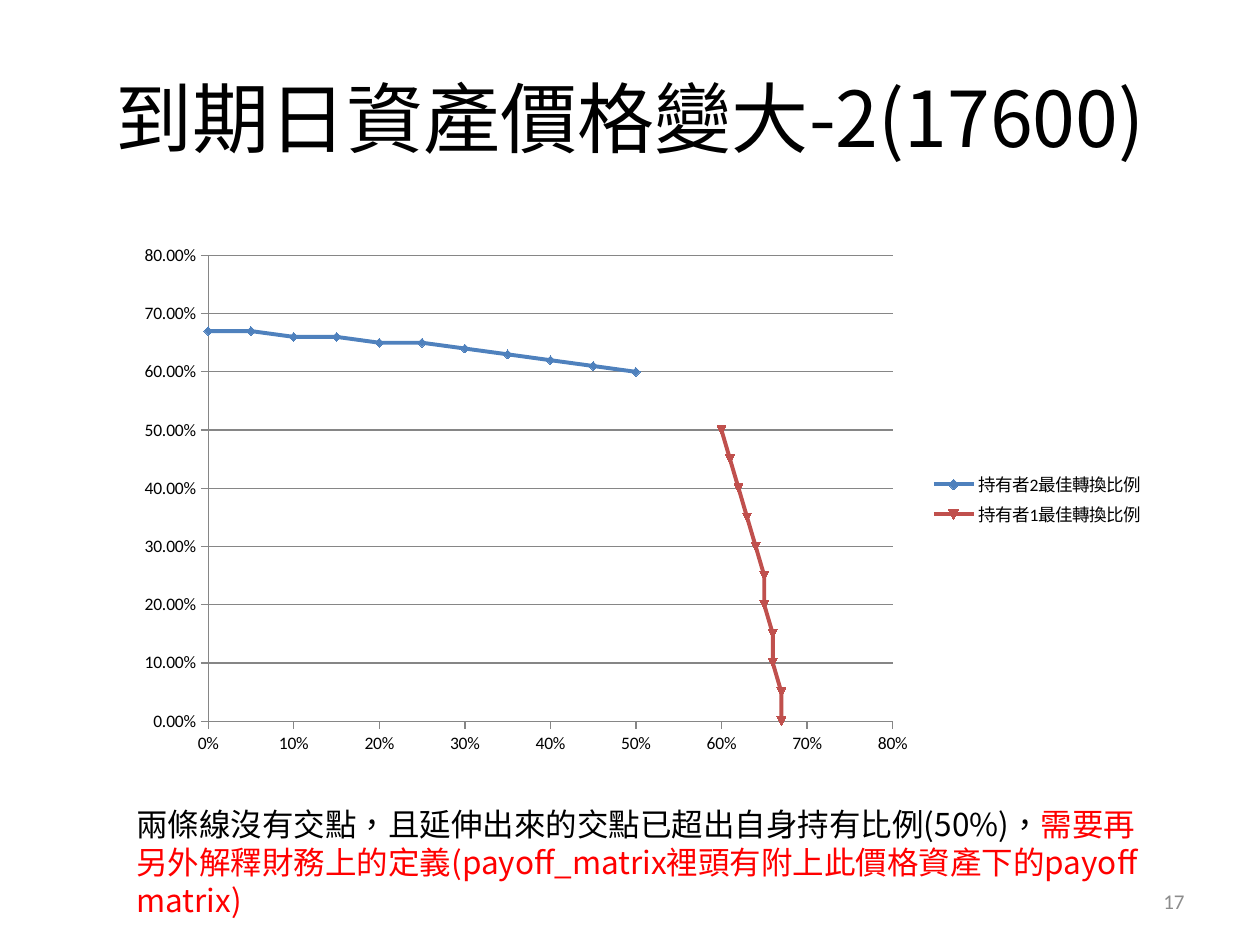
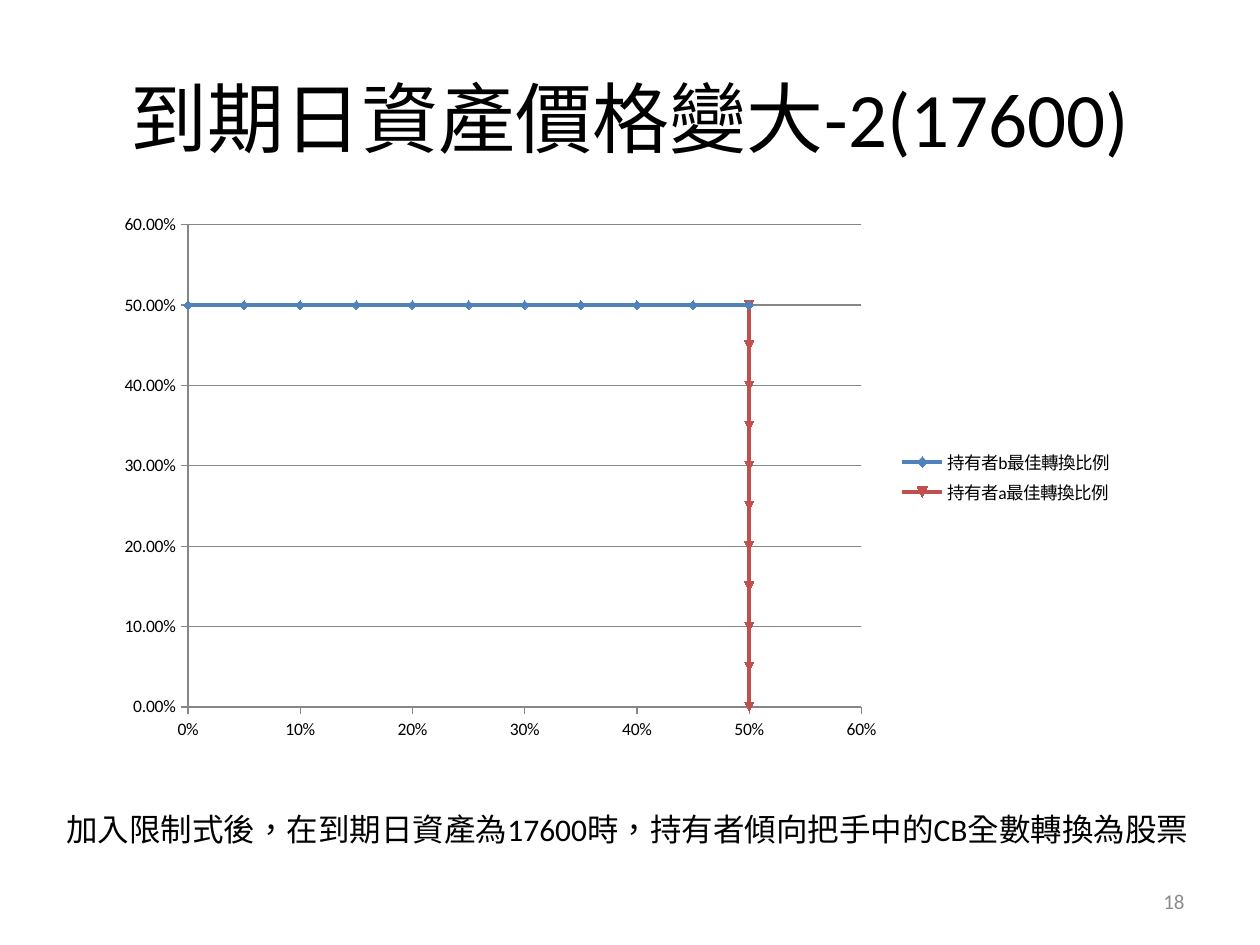
import pptx
import pptx.chart.data
import pptx.dml.color
import pptx.enum.chart
import pptx.enum.text
import pptx.util

PX = 914400 / 126
BLACK, RED, GREY, AXIS = "000000", "FF0000", "8C8C8C", "868686"
SERIES_COLORS = ["4F81BD", "C0504D"]
LATIN, CJK = "Calibri", "Noto Sans CJK SC"
TITLE = "到期日資產價格變大-2(17600)"
TITLE_BOX = (63, 38, 1134, 157)
NUMBER_BOX = (903, 876, 294, 50)

holdings = [step / 20 for step in range(11)]
best_ratios = [0.67, 0.67, 0.66, 0.66, 0.65, 0.65, 0.64, 0.63, 0.62, 0.61, 0.6]

slides = [
    {
        "number": 17,
        "font": CJK,
        "chart_box": (124, 235, 1033, 529),
        "holders": ("2", "1"),
        "ratios": best_ratios,
        "note_box": (124, 799, 1052, 127),
        "note": [
            ("兩條線沒有交點，且延伸出來的交點已超出自身持有比例(50%)，", BLACK),
            ("需要再另外解釋財務上的定義(payoff_matrix裡頭有附上此價格資產下的payoff matrix)", RED),
        ],
    },
    {
        "number": 18,
        "font": LATIN,
        "chart_box": (104, 204, 1022, 546),
        "holders": ("b", "a"),
        "ratios": [0.5] * 11,
        "note_box": (54, 804, 1158, 90),
        "note": [("加入限制式後，在到期日資產為17600時，持有者傾向把手中的CB全數轉換為股票", BLACK)],
    },
]


def rgb(color):
    return pptx.dml.color.RGBColor.from_string(color)


def add_run(paragraph, text, size, font, color):
    """Add a run marked as Traditional Chinese, so that its punctuation is centred."""
    run = paragraph.add_run()
    run.text = text
    run.font.size = pptx.util.Pt(size)
    run.font.name = font
    run.font.color.rgb = rgb(color)
    run._r.get_or_add_rPr().set("lang", "zh-TW")


presentation = pptx.Presentation()
presentation.slide_width = pptx.util.Inches(10)
presentation.slide_height = pptx.util.Inches(7.5)

for content in slides:
    slide = presentation.slides.add_slide(presentation.slide_layouts[5])

    title = slide.shapes.title
    title.left, title.top, title.width, title.height = [round(side * PX) for side in TITLE_BOX]
    title.text_frame.vertical_anchor = pptx.enum.text.MSO_ANCHOR.MIDDLE
    paragraph = title.text_frame.paragraphs[0]
    paragraph.alignment = pptx.enum.text.PP_ALIGN.CENTER
    add_run(paragraph, TITLE, 44, content["font"], BLACK)

    # Each holder's best ratio is plotted against the other holder's ratio.
    chart_data = pptx.chart.data.XyChartData()
    axes_pairs = [(holdings, content["ratios"]), (content["ratios"], holdings)]
    for holder, (x_values, y_values) in zip(content["holders"], axes_pairs):
        series = chart_data.add_series(f"持有者{holder}最佳轉換比例")
        for x, y in zip(x_values, y_values):
            series.add_data_point(x, y)
    chart = slide.shapes.add_chart(
        pptx.enum.chart.XL_CHART_TYPE.XY_SCATTER_SMOOTH,
        *[round(side * PX) for side in content["chart_box"]], chart_data).chart
    chart.has_title = False
    chart.font.size = pptx.util.Pt(10)
    chart.font.name = LATIN
    chart.font.color.rgb = rgb(BLACK)
    chart.has_legend = True
    chart.legend.position = pptx.enum.chart.XL_LEGEND_POSITION.RIGHT
    chart.legend.include_in_layout = False
    plot = chart.plots[0]
    plot.vary_by_categories = False
    for series, color in zip(plot.series, SERIES_COLORS):
        series.smooth = True
        series.format.line.width = pptx.util.Pt(2.25)
        series.format.line.color.rgb = rgb(color)
        series.marker.format.fill.solid()
        series.marker.format.fill.fore_color.rgb = rgb(color)
        series.marker.format.line.color.rgb = rgb(color)

    for axis, number_format in ((chart.category_axis, "0%"), (chart.value_axis, "0.00%")):
        axis.major_tick_mark = pptx.enum.chart.XL_TICK_MARK.OUTSIDE
        axis.minor_tick_mark = pptx.enum.chart.XL_TICK_MARK.NONE
        axis.tick_labels.number_format = number_format
        axis.tick_labels.number_format_is_linked = False
        axis.format.line.color.rgb = rgb(AXIS)
    chart.category_axis.has_major_gridlines = False
    chart.value_axis.has_major_gridlines = True
    chart.value_axis.major_gridlines.format.line.color.rgb = rgb(AXIS)

    note = slide.shapes.add_textbox(*[round(side * PX) for side in content["note_box"]])
    note.text_frame.word_wrap = True
    for text, color in content["note"]:
        add_run(note.text_frame.paragraphs[0], text, 18, content["font"], color)

    number = slide.shapes.add_textbox(*[round(side * PX) for side in NUMBER_BOX])
    number.text_frame.word_wrap = True
    number.text_frame.vertical_anchor = pptx.enum.text.MSO_ANCHOR.MIDDLE
    paragraph = number.text_frame.paragraphs[0]
    paragraph.alignment = pptx.enum.text.PP_ALIGN.RIGHT
    add_run(paragraph, str(content["number"]), 12, LATIN, GREY)

presentation.save("out.pptx")
